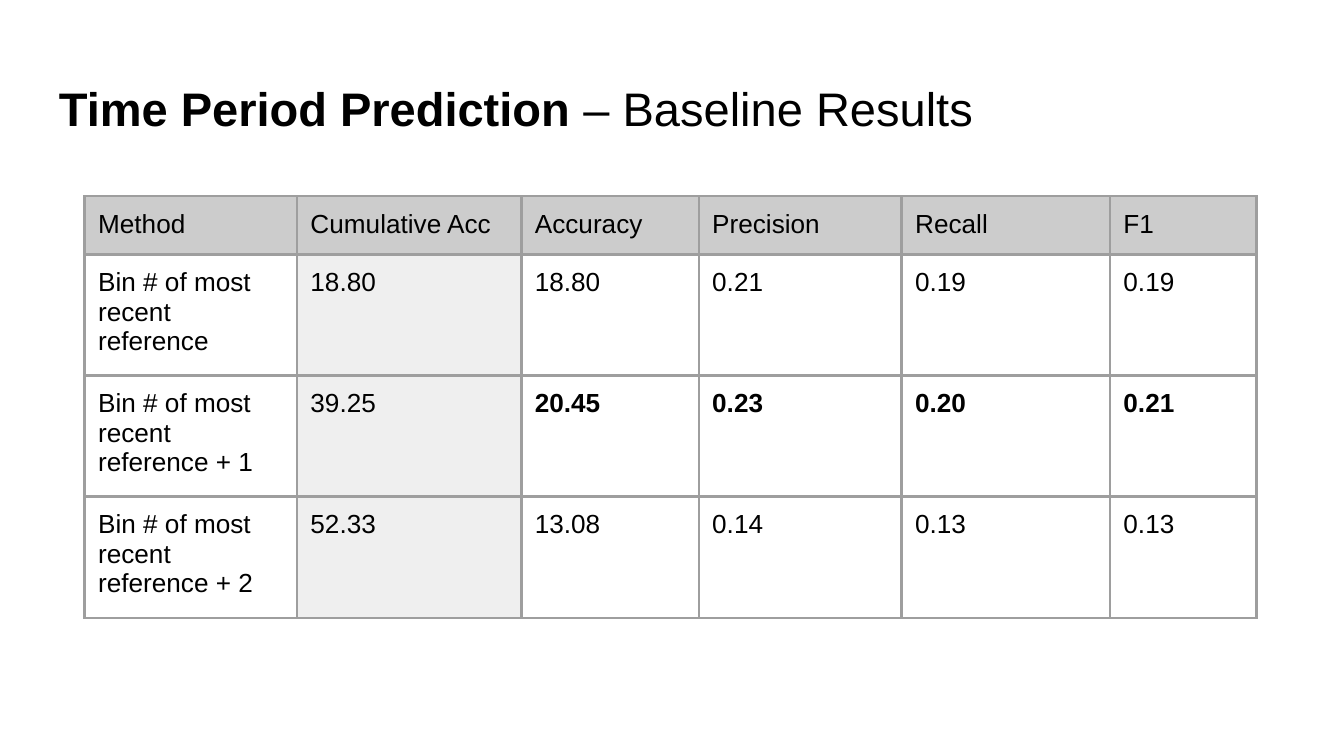
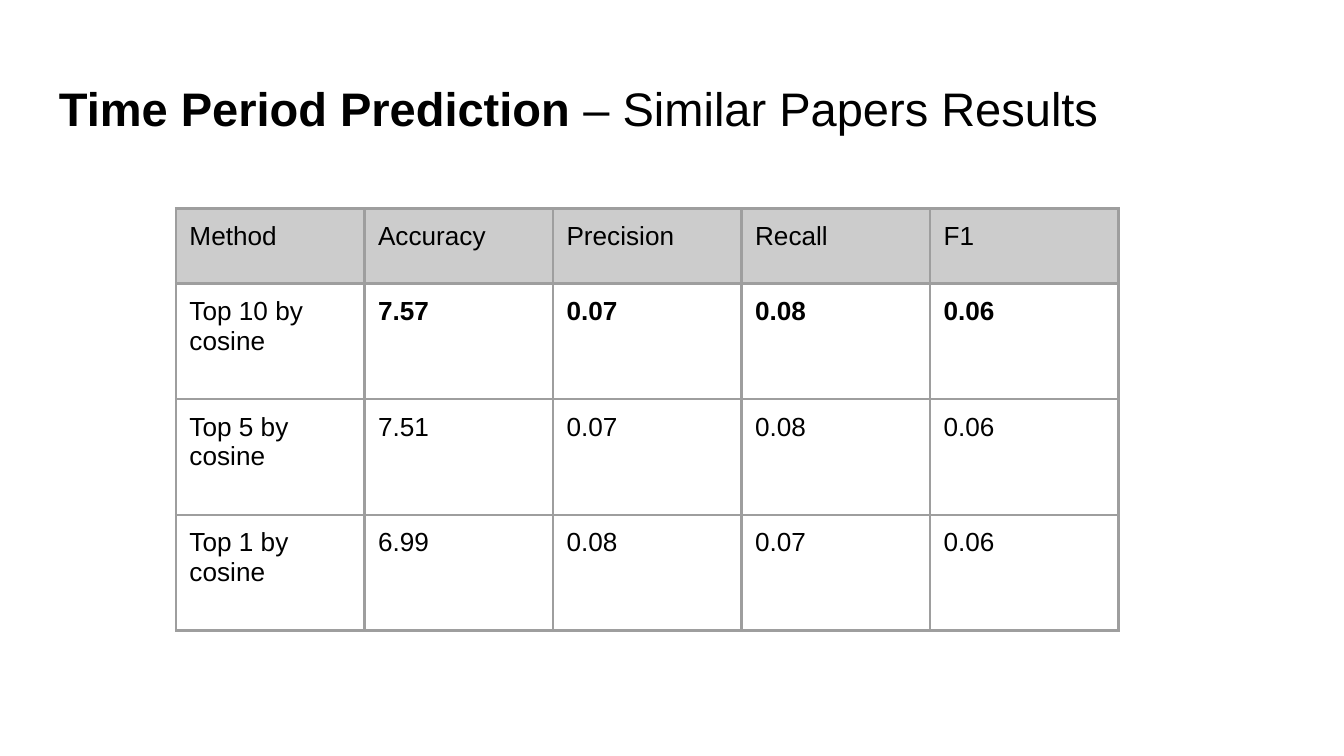
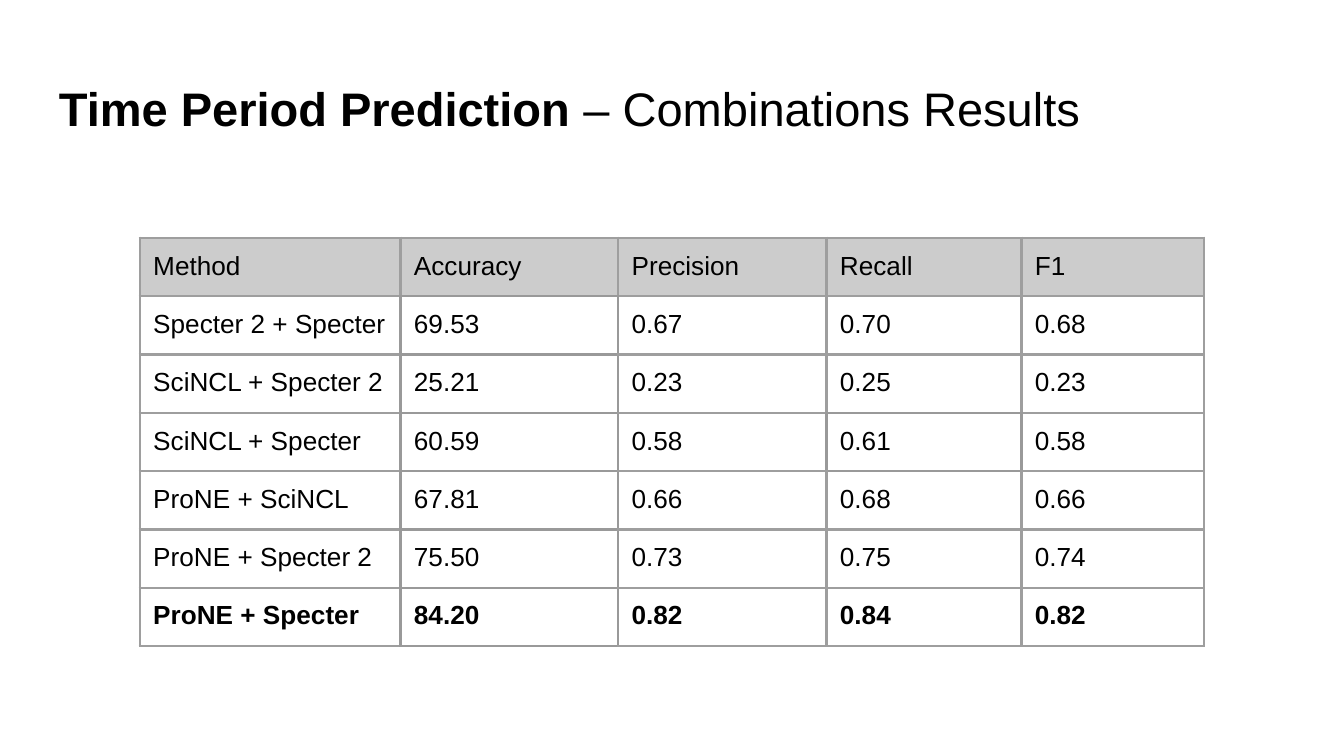
"""Builds three slides of time period prediction results."""
from dataclasses import dataclass

from lxml import etree
from pptx import Presentation
from pptx import util as u
from pptx.dml.color import RGBColor
from pptx.enum import text
from pptx.oxml import ns

WIDTH = u.Inches(10)
HEIGHT = WIDTH * 9 // 16
INSET = u.Inches(0.1)
FONT = "Arial"
TOPIC = "Time Period Prediction"
INK, HEADER, SHADED = "000000", "CCCCCC", "EFEFEF"
RULE, DARK_RULE = "9E9E9E", "999999"
SIDES = {"L": (0, -1), "R": (0, 1), "T": (-1, 0), "B": (1, 0)}
METRICS = ("Accuracy", "Precision", "Recall", "F1")


@dataclass(frozen=True)
class Results:
    """One results slide; lengths are percentages of the slide's size."""
    subject: str
    left: float
    top: float
    columns: tuple[float, ...]
    heights: tuple[float, ...]
    rows: tuple[tuple[str, ...], ...]
    best_row: int
    best_from: int
    shaded_column: int | None = None
    dark_ruled: frozenset[tuple[int, int]] = frozenset()


RESULTS = (
    Results(
        "Baseline Results", 6.3, 25.96,
        (15.8, 16.7, 13.2, 15.1, 15.5, 10.9), (5.33,) + (7.47,) * 3,
        (("Method", "Cumulative Acc") + METRICS,
         ("Bin # of most recent reference", "18.80", "18.80", "0.21", "0.19", "0.19"),
         ("Bin # of most recent reference + 1", "39.25", "20.45", "0.23", "0.20", "0.21"),
         ("Bin # of most recent reference + 2", "52.33", "13.08", "0.14", "0.13", "0.13")),
        best_row=2, best_from=2, shaded_column=1),
    Results(
        "Similar Papers Results", 13.1, 27.56,
        (14.03,) * 5, (9.96,) + (15.29,) * 3,
        (("Method",) + METRICS,
         ("Top 10 by cosine", "7.57", "0.07", "0.08", "0.06"),
         ("Top 5 by cosine", "7.51", "0.07", "0.08", "0.06"),
         ("Top 1 by cosine", "6.99", "0.08", "0.07", "0.06")),
        best_row=1, best_from=1),
    Results(
        "Combinations Results", 10.4, 31.47,
        (19.4, 16.2, 15.5, 14.5, 13.6), (7.43,) * 7,
        (("Method",) + METRICS,
         ("Specter 2 + Specter", "69.53", "0.67", "0.70", "0.68"),
         ("SciNCL + Specter 2", "25.21", "0.23", "0.25", "0.23"),
         ("SciNCL + Specter", "60.59", "0.58", "0.61", "0.58"),
         ("ProNE + SciNCL", "67.81", "0.66", "0.68", "0.66"),
         ("ProNE + Specter 2", "75.50", "0.73", "0.75", "0.74"),
         ("ProNE + Specter", "84.20", "0.82", "0.84", "0.82")),
        best_row=6, best_from=0,
        dark_ruled=frozenset({(row, 1) for row in range(1, 7)} | {(3, 3)})),
)


def across(percent: float) -> int:
    """Return a share of the slide's width."""
    return round(WIDTH * percent / 100)


def down(percent: float) -> int:
    """Return a share of the slide's height."""
    return round(HEIGHT * percent / 100)


def color(value: str) -> RGBColor:
    """Turn a hex string into a colour."""
    return RGBColor.from_string(value)


def style_run(run, size: float, bold: bool) -> None:
    """Apply the shared font to a run."""
    run.font.name = FONT
    run.font.size = u.Pt(size)
    run.font.bold = bold
    run.font.color.rgb = color(INK)


def add_title(slide, subject: str) -> None:
    """Write the topic in bold, followed by the subject."""
    title = slide.shapes.add_textbox(across(3.4), down(8.71), across(93.2), down(11.2))
    frame = title.text_frame
    frame.word_wrap = True
    frame.vertical_anchor = text.MSO_ANCHOR.MIDDLE
    frame.margin_left = frame.margin_right = INSET
    frame.margin_top = frame.margin_bottom = INSET
    for words, bold in ((TOPIC, True), (f" – {subject}", False)):
        run = frame.paragraphs[0].add_run()
        run.text = words
        style_run(run, 25.2, bold)


def rule_cell(cell, position: tuple[int, int], dark: frozenset) -> None:
    """Draw the four borders, darker along every dark-ruled cell."""
    row, column = position
    properties = cell._tc.get_or_add_tcPr()
    for side, (row_step, column_step) in SIDES.items():
        neighbour = (row + row_step, column + column_step)
        line = etree.SubElement(properties, ns.qn(f"a:ln{side}"), w=str(u.Pt(1.5)))
        fill = etree.SubElement(line, ns.qn("a:solidFill"))
        shade = DARK_RULE if {position, neighbour} & dark else RULE
        etree.SubElement(fill, ns.qn("a:srgbClr"), val=shade)


def fill_cell(cell, results: Results, row: int, column: int) -> None:
    """Write and format one table cell."""
    cell.margin_left = cell.margin_right = INSET
    cell.margin_top = cell.margin_bottom = INSET
    rule_cell(cell, (row, column), results.dark_ruled)
    if row == 0 or column == results.shaded_column:
        cell.fill.solid()
        cell.fill.fore_color.rgb = color(HEADER if row == 0 else SHADED)
    else:
        cell.fill.background()
    cell.text_frame.text = results.rows[row][column]
    best = row == results.best_row and column >= results.best_from
    style_run(cell.text_frame.paragraphs[0].runs[0], 14, best)


def add_results(slide, results: Results) -> None:
    """Draw the table of results."""
    table = slide.shapes.add_table(
        len(results.rows), len(results.columns),
        across(results.left), down(results.top),
        across(sum(results.columns)), down(sum(results.heights))).table
    table.first_row = table.horz_banding = False
    for column, width in zip(table.columns, results.columns):
        column.width = across(width)
    for row, height in zip(table.rows, results.heights):
        row.height = down(height)
    for row in range(len(results.rows)):
        for column in range(len(results.columns)):
            fill_cell(table.cell(row, column), results, row, column)


def main() -> None:
    """Build and save the presentation."""
    deck = Presentation()
    deck.slide_width, deck.slide_height = WIDTH, HEIGHT
    for results in RESULTS:
        slide = deck.slides.add_slide(deck.slide_layouts[6])
        add_title(slide, results.subject)
        add_results(slide, results)
    deck.save("out.pptx")


if __name__ == "__main__":
    main()
